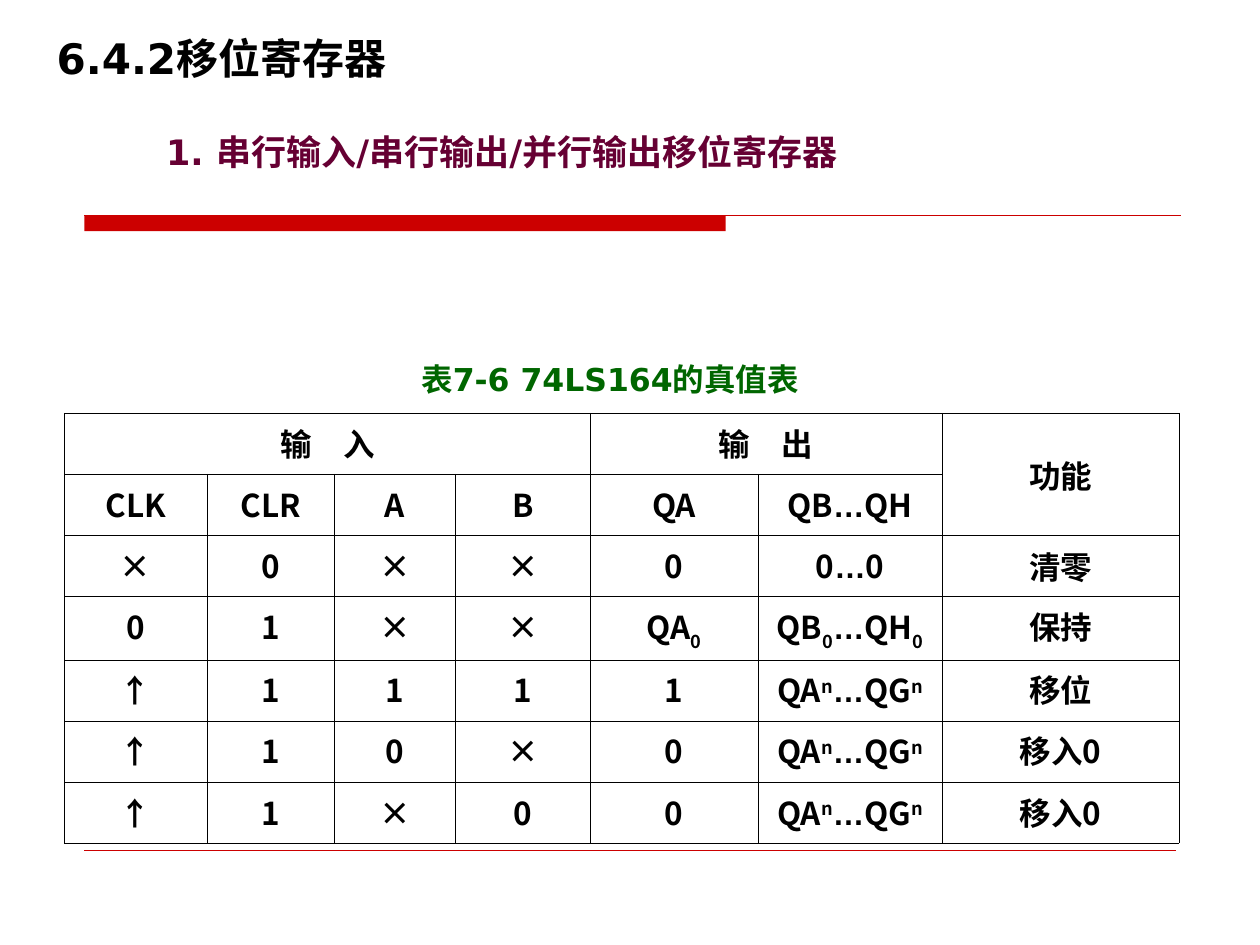
from itertools import groupby

from pptx import Presentation
from pptx.dml.color import RGBColor
from pptx.enum.shapes import MSO_CONNECTOR, MSO_SHAPE
from pptx.enum.text import MSO_ANCHOR, MSO_AUTO_SIZE, PP_ALIGN
from pptx.oxml.ns import qn
from pptx.util import Cm, Pt
from lxml.etree import SubElement

COLORS = {
    "ink": "000000",
    "rule": "CC0000",
    "heading": "660033",
    "caption": "006600",
}
HEADING_FONT = "DejaVu Sans"
TABLE_FONT = "Noto Sans CJK SC"
ELLIPSIS_FONT = "Arial"
SHIFTED = {"₀": ("0", -30000), "ⁿ": ("n", 30000)}

COLUMN_WIDTHS = [2.87, 2.57, 2.44, 2.72, 3.38, 3.71, 4.78]
ROW_HEIGHT = 1.23
TRUTH_TABLE = [
    ["输　入", "", "", "", "输　出", "", "功能"],
    ["CLK", "CLR", "A", "B", "QA", "QB…QH", ""],
    ["×", "0", "×", "×", "0", "0…0", "清零"],
    ["0", "1", "×", "×", "QA₀", "QB₀…QH₀", "保持"],
    ["↑", "1", "1", "1", "1", "QAⁿ…QGⁿ", "移位"],
    ["↑", "1", "0", "×", "0", "QAⁿ…QGⁿ", "移入0"],
    ["↑", "1", "×", "0", "0", "QAⁿ…QGⁿ", "移入0"],
]
MERGES = [((0, 0), (0, 3)), ((0, 4), (0, 5)), ((0, 6), (1, 6))]
MIDDLE_CELLS = [(0, 6), (2, 6)]


class SlideBuilder:
    def __init__(self, slide, colors):
        self.slide = slide
        self.colors = colors

    def color(self, name):
        return RGBColor.from_string(self.colors[name])

    def style_run(self, run, size, color, font):
        values = {"size": Pt(size), "bold": True, "name": font}
        for attribute, value in values.items():
            setattr(run.font, attribute, value)
        run.font.color.rgb = self.color(color)
        SubElement(run.font._element, qn("a:ea"), typeface=TABLE_FONT)

    def fill_text(self, shape, text, size, color, align):
        frame = shape.text_frame
        layout = {
            "word_wrap": True,
            "auto_size": MSO_AUTO_SIZE.NONE,
            "vertical_anchor": MSO_ANCHOR.TOP,
        }
        for attribute, value in layout.items():
            setattr(frame, attribute, value)
        paragraph = frame.paragraphs[0]
        paragraph.alignment = align
        run = paragraph.add_run()
        run.text = text
        self.style_run(run, size, color, HEADING_FONT)

    def title(self, text, left, top, width, height):
        title = self.slide.shapes.title
        place = {"left": left, "top": top, "width": width, "height": height}
        for attribute, value in place.items():
            setattr(title, attribute, Cm(value))
        self.fill_text(title, text, 24, "ink", PP_ALIGN.LEFT)

    def text(self, text, left, top, width, height, size, color, align):
        box = self.slide.shapes.add_textbox(Cm(left), Cm(top), Cm(width), Cm(height))
        self.fill_text(box, text, size, color, align)

    def bar(self, left, top, width, height):
        bar = self.slide.shapes.add_shape(
            MSO_SHAPE.RECTANGLE, Cm(left), Cm(top), Cm(width), Cm(height))
        bar.shadow.inherit = False
        bar.fill.solid()
        bar.fill.fore_color.rgb = self.color("rule")
        bar.line.fill.background()

    def rule(self, left, right, y, weight):
        rule = self.slide.shapes.add_connector(
            MSO_CONNECTOR.STRAIGHT, Cm(left), Cm(y), Cm(right), Cm(y))
        rule.line.color.rgb = self.color("rule")
        rule.line.width = Pt(weight)
        SubElement(rule._element.spPr, qn("a:effectLst"))

    def border(self, cell, weight):
        properties = cell._tc.get_or_add_tcPr()
        for side in ("a:lnL", "a:lnR", "a:lnT", "a:lnB"):
            line = SubElement(properties, qn(side), w=str(Pt(weight)))
            fill = SubElement(line, qn("a:solidFill"))
            SubElement(fill, qn("a:srgbClr"), val=self.colors["ink"])

    def cell(self, cell, text):
        self.border(cell, 0.34)
        cell.fill.background()
        paragraph = cell.text_frame.paragraphs[0]
        paragraph.alignment = PP_ALIGN.CENTER
        for mark, letters in groupby(text, lambda c: c if c in SHIFTED or c == "…" else ""):
            run = paragraph.add_run()
            run.text, shift = SHIFTED.get(mark, ("".join(letters), 0))
            self.style_run(run, 18, "ink", ELLIPSIS_FONT if mark == "…" else TABLE_FONT)
            if shift:
                run.font._element.set("baseline", str(shift))

    def table(self, rows, left, top):
        table = self.slide.shapes.add_table(
            len(rows), len(COLUMN_WIDTHS), Cm(left), Cm(top),
            Cm(sum(COLUMN_WIDTHS)), Cm(ROW_HEIGHT * len(rows))).table
        table.first_row = table.horz_banding = False
        for column, width in zip(table.columns, COLUMN_WIDTHS):
            column.width = Cm(width)
        for row, texts in zip(table.rows, rows):
            row.height = Cm(ROW_HEIGHT)
            for cell, text in zip(row.cells, texts):
                self.cell(cell, text)
        for first, last in MERGES:
            table.cell(*first).merge(table.cell(*last))
        for position in MIDDLE_CELLS:
            table.cell(*position).vertical_anchor = MSO_ANCHOR.MIDDLE


def main():
    presentation = Presentation()
    presentation.slide_width = Cm(25.4)
    presentation.slide_height = Cm(19.05)
    slide = presentation.slides.add_slide(presentation.slide_layouts[5])
    builder = SlideBuilder(slide, COLORS)

    builder.bar(1.7, 4.34, 12.93, 0.32)
    builder.rule(1.7, 23.8, 4.34, 0.75)
    builder.rule(1.7, 23.7, 17.15, 0.25)
    builder.title("6.4.2移位寄存器", 0.89, 0.53, 16.2, 1.27)
    builder.text("表7-6 74LS164的真值表", 1.3, 7.14, 22, 1.19, 18, "caption", PP_ALIGN.CENTER)
    builder.text("1. 串行输入/串行输出/并行输出移位寄存器", 3.1, 2.51, 16, 1.12,
                 20, "heading", PP_ALIGN.LEFT)
    builder.table(TRUTH_TABLE, 1.3, 8.33)

    presentation.save("out.pptx")


if __name__ == "__main__":
    main()
